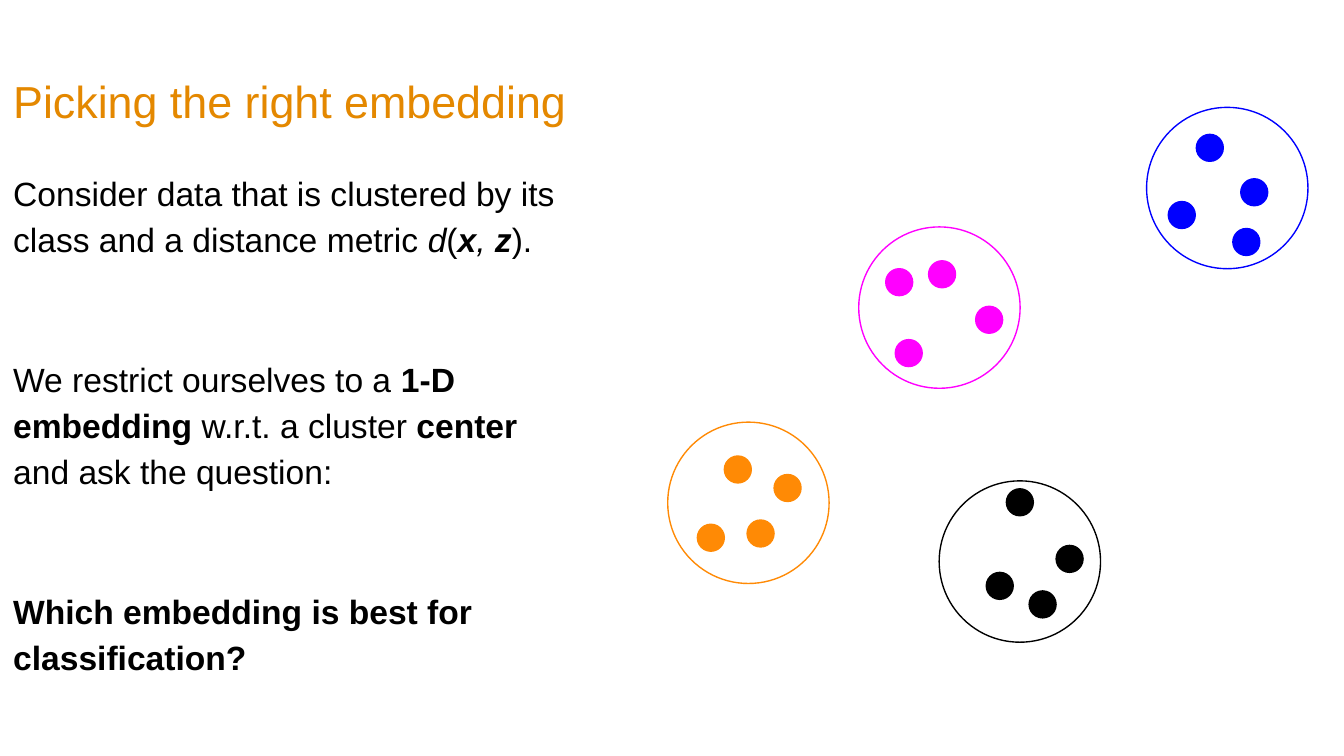
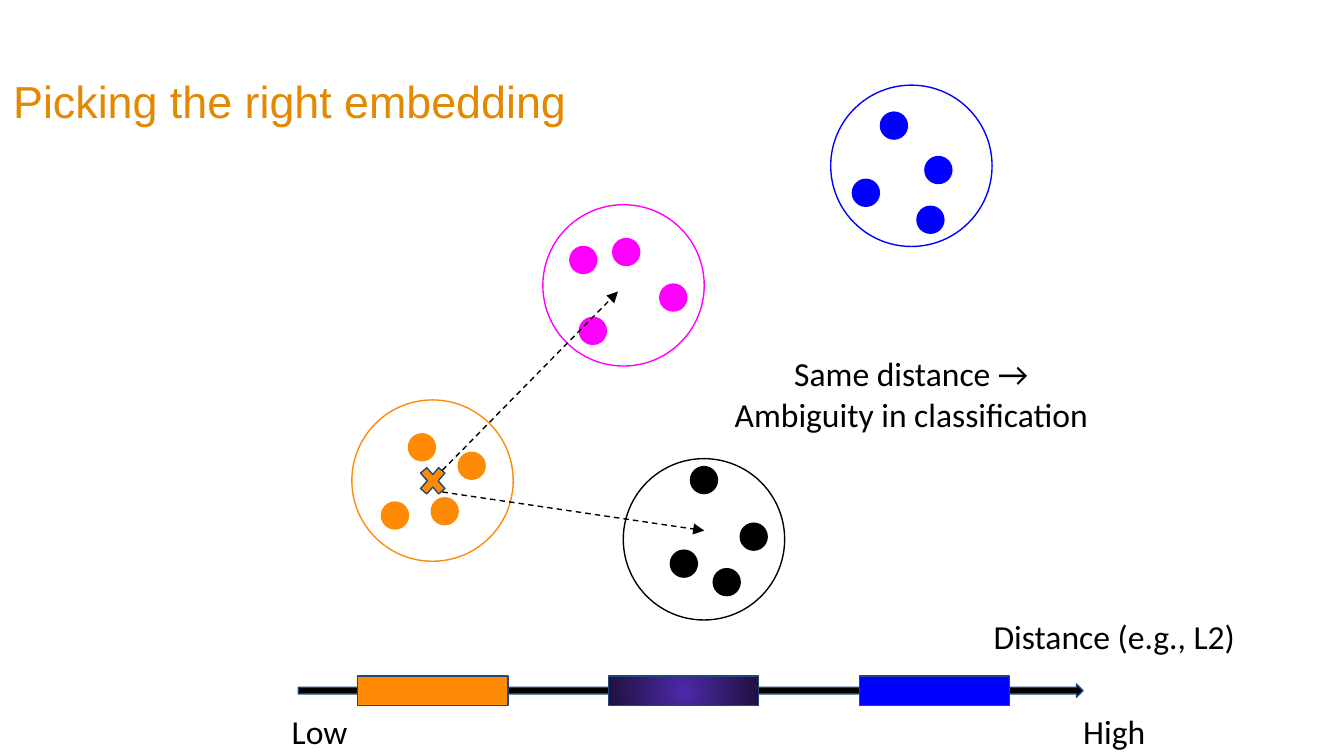
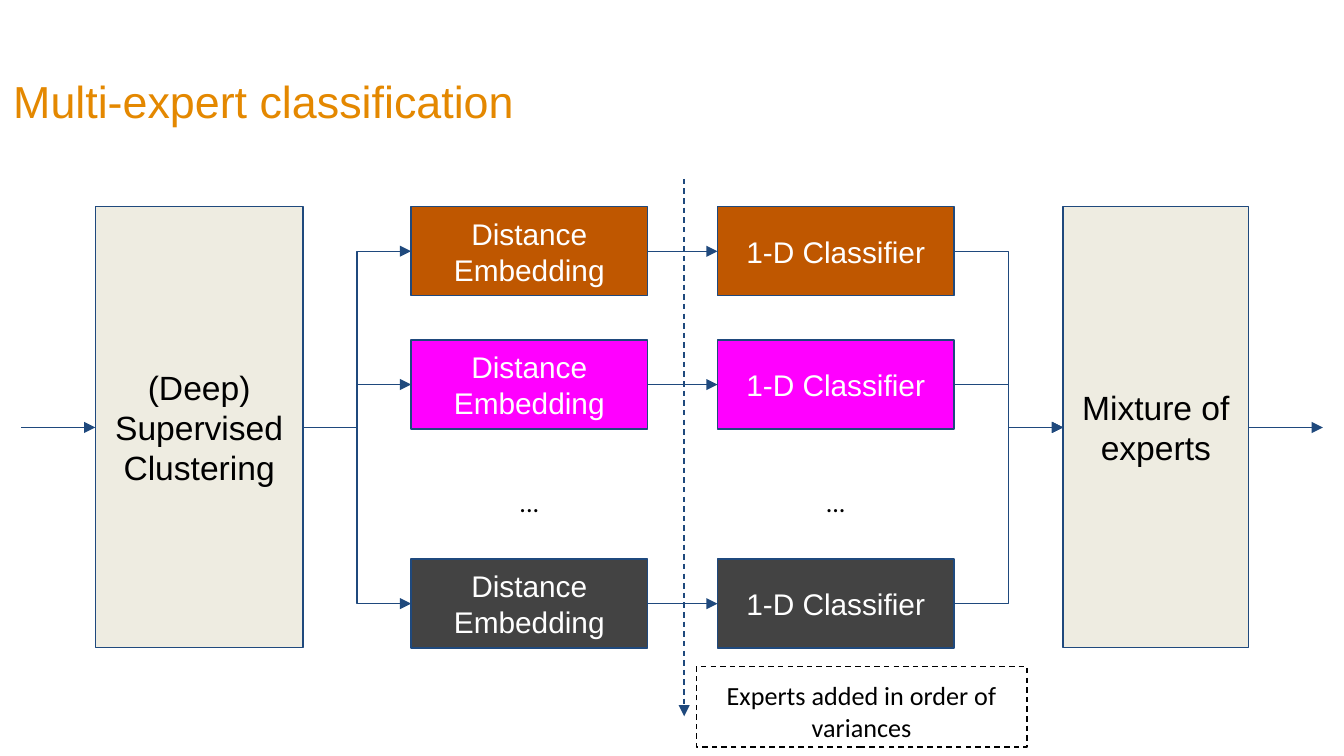
from lxml import etree
from pptx import Presentation
from pptx.dml.color import RGBColor
from pptx.enum.dml import MSO_LINE_DASH_STYLE as Dash
from pptx.enum.shapes import MSO_CONNECTOR_TYPE as Connector, MSO_SHAPE as Shape
from pptx.enum.text import MSO_ANCHOR as Anchor, PP_ALIGN as Align
from pptx.oxml.ns import qn
from pptx.util import Cm, Pt

COLORS = {
    "title": "E48800", "navy": "1F497D", "cream": "EEECE1", "black": "000000",
    "white": "FFFFFF", "orange": "FF8A05", "magenta": "FF00FF", "blue": "0000FF",
    "burnt": "BF5700", "charcoal": "434343", "violet": "4E29AA", "indigo": "1E123D",
}
SLIDE_WIDTH, SLIDE_HEIGHT = 25.4, 14.29
RING, DOT = 3.05, 0.51

# colour: (ring corner, dot corners measured from the ring corner)
CLUSTERS = {
    "orange": ((12.62, 7.98), [(2.01, 0.99), (1.5, 1.85), (1.07, 0.64), (0.56, 1.93)]),
    "magenta": ((16.23, 4.29), [(1.32, 0.64), (0.51, 0.79), (2.21, 1.5), (0.69, 2.13)]),
    "black": ((17.75, 9.09), [(0.89, 1.73), (2.21, 1.22), (1.27, 0.15), (1.7, 2.08)]),
    "blue": ((21.67, 2.03), [(0.94, 0.51), (0.41, 1.78), (1.78, 1.35), (1.63, 2.29)]),
}


def rgb(name):
    return RGBColor.from_string(COLORS[name])


class Deck:
    """Holds the presentation, its style and the slide being filled."""

    def __init__(self):
        self.presentation = Presentation()
        self.presentation.slide_width = Cm(SLIDE_WIDTH)
        self.presentation.slide_height = Cm(SLIDE_HEIGHT)
        self.slide = None

    def new_slide(self, title):
        self.slide = self.presentation.slides.add_slide(self.presentation.slide_layouts[6])
        self.text(0, 1.3, SLIDE_WIDTH, 1.22, [title], size=24, font="Arial",
                  color="title", align=Align.LEFT, anchor=Anchor.MIDDLE)

    def set_text(self, shape, paragraphs, size=18, font="Calibri", color="black",
                 align=Align.CENTER, anchor=Anchor.TOP, spacing=None, gap=0):
        """Fill a shape; a paragraph is a string or a list of (text, style letters)."""
        frame = shape.text_frame
        frame.word_wrap = True
        frame.vertical_anchor = anchor
        frame.margin_left = frame.margin_right = Cm(0.25)
        frame.margin_top = frame.margin_bottom = Cm(0.25)
        for index, content in enumerate(paragraphs):
            paragraph = frame.add_paragraph() if index else frame.paragraphs[0]
            paragraph.alignment = align
            if spacing:
                paragraph.line_spacing = spacing
            if index and gap:
                paragraph.space_before = Pt(gap)
            paragraph.font.size = Pt(size)
            paragraph.font.name = font
            paragraph.font.color.rgb = rgb(color)
            runs = [(content, "")] if isinstance(content, str) else content
            for words, style in runs:
                run = paragraph.add_run()
                run.text = words
                if "b" in style:
                    run.font.bold = True
                if "i" in style:
                    run.font.italic = True

    def text(self, left, top, width, height, paragraphs, **style):
        box = self.slide.shapes.add_textbox(Cm(left), Cm(top), Cm(width), Cm(height))
        self.set_text(box, paragraphs, **style)

    def shape(self, kind, left, top, width, height, fill=None, line="navy", dashed=False):
        shape = self.slide.shapes.add_shape(kind, Cm(left), Cm(top), Cm(width), Cm(height))
        shape.shadow.inherit = False
        if fill:
            shape.fill.solid()
            shape.fill.fore_color.rgb = rgb(fill)
        else:
            shape.fill.background()
        self.stroke(shape.line, line, dashed)
        return shape

    def stroke(self, line, color, dashed):
        line.color.rgb = rgb(color)
        line.width = Pt(0.75)
        if dashed:
            line.dash_style = Dash.DASH

    def block(self, left, top, width, height, label, fill, size, color):
        shape = self.shape(Shape.RECTANGLE, left, top, width, height, fill)
        self.set_text(shape, [label], size=size, font="Arial", color=color,
                      anchor=Anchor.MIDDLE)

    def arrow(self, start, end, color="navy", dashed=False, kind=Connector.STRAIGHT):
        x1, y1, x2, y2 = (Cm(value) for value in (*start, *end))
        connector = self.slide.shapes.add_connector(kind, x1, y1, x2, y2)
        self.stroke(connector.line, color, dashed)
        properties = connector._element.spPr
        etree.SubElement(properties.find(qn("a:ln")), qn("a:tailEnd"), {"type": "triangle"})
        etree.SubElement(properties, qn("a:effectLst"))

    def radial_fill(self, shape, inner, outer):
        shape.fill.gradient()
        for stop, color, position in zip(shape.fill.gradient_stops, (inner, outer), (0, 1)):
            stop.color.rgb = rgb(color)
            stop.position = position
        gradient = shape._element.spPr.find(qn("a:gradFill"))
        gradient.remove(gradient.find(qn("a:lin")))
        circle = etree.SubElement(gradient, qn("a:path"), {"path": "circle"})
        etree.SubElement(circle, qn("a:fillToRect"),
                         {side: "50000" for side in ("l", "t", "r", "b")})

    def clusters(self, shift_x=0, shift_y=0):
        for color, ((left, top), dots) in CLUSTERS.items():
            left, top = left + shift_x, top + shift_y
            self.shape(Shape.OVAL, left, top, RING, RING, line=color)
            for x, y in dots:
                self.shape(Shape.OVAL, left + x, top + y, DOT, DOT, color, color)


def question_slide(deck):
    deck.new_slide("Picking the right embedding")
    deck.text(0, 2.9, 11.05, 11.1, [
        [("Consider data that is clustered by its class and a distance metric ", ""),
         ("d", "i"), ("(", ""), ("x", "bi"), (", ", "i"), ("z", "bi"), (").", "")],
        [("We restrict ourselves to a ", ""), ("1-D embedding ", "b"),
         ("w.r.t. a cluster ", ""), ("center ", "b"), ("and ask the question:", "")],
        [("Which embedding is best for classification?", "b")],
    ], font="Arial", align=Align.LEFT, spacing=1.15, gap=50)
    deck.clusters()


def ambiguity_slide(deck):
    deck.new_slide("Picking the right embedding")
    deck.clusters(-5.97, -0.42)

    deck.shape(Shape.RIGHT_ARROW, 5.64, 12.93, 14.83, 0.25, "black")
    bars = [deck.shape(Shape.RECTANGLE, 6.76 + 4.74 * index, 12.78, 2.84, 0.56, color)
            for index, color in enumerate(("orange", "violet", "blue"))]
    deck.radial_fill(bars[1], "violet", "indigo")

    deck.shape(Shape.MATH_MULTIPLY, 7.85, 8.71, 0.66, 0.76, "orange")
    deck.arrow((8.36, 8.89), (11.68, 5.51), "black", dashed=True)
    deck.arrow((8.36, 9.3), (13.31, 10.03), "black", dashed=True)

    deck.text(18.29, 11.4, 5.54, 1.02, ["Distance (e.g., L2)"])
    deck.text(3.73, 13.18, 4.62, 1.02, ["Low"])
    deck.text(18.75, 13.18, 4.62, 1.02, ["High"])
    deck.text(13.39, 6.43, 7.67, 1.73, ["Same distance → Ambiguity in classification"])


def experts_slide(deck):
    deck.new_slide("Multi-expert classification")
    top, tall, middle = 3.91, 8.33, 8.08
    clustering_left, clustering_width = 1.8, 3.93
    mixture_left, mixture_width = 20.09, 3.51
    clustering_right = clustering_left + clustering_width
    mixture_right = mixture_left + mixture_width
    embedding_left, classifier_left = 7.77, 13.56
    expert_width, expert_height = 4.47, 1.68
    stub = 1.4

    deck.block(clustering_left, top, clustering_width, tall,
               "(Deep) Supervised Clustering", "cream", 18, "black")
    deck.block(mixture_left, top, mixture_width, tall,
               "Mixture of experts", "cream", 18, "black")
    deck.arrow((clustering_left - stub, middle), (clustering_left, middle))
    deck.arrow((mixture_right, middle), (mixture_right + stub, middle))

    for row_top, color in ((top, "burnt"), (6.43, "magenta"), (10.57, "charcoal")):
        center = row_top + expert_height / 2
        for left, label in ((embedding_left, "Distance Embedding"),
                            (classifier_left, "1-D Classifier")):
            deck.block(left, row_top, expert_width, expert_height, label, color, 16, "white")
        deck.arrow((clustering_right, middle), (embedding_left, center), kind=Connector.ELBOW)
        deck.arrow((embedding_left + expert_width, center), (classifier_left, center))
        deck.arrow((classifier_left + expert_width, center), (mixture_left, middle),
                   kind=Connector.ELBOW)

    for left in (embedding_left, classifier_left):
        deck.text(left, 8.94, expert_width, 1.04, ["..."], size=14)

    deck.arrow((12.93, 3.38), (12.93, 13.54), dashed=True)
    note = deck.shape(Shape.RECTANGLE, 13.16, 12.6, 6.25, 1.52, line="black", dashed=True)
    deck.set_text(note, ["Experts added in order of variances"], size=14)


def main():
    deck = Deck()
    question_slide(deck)
    ambiguity_slide(deck)
    experts_slide(deck)
    deck.presentation.save("out.pptx")


if __name__ == "__main__":
    main()
